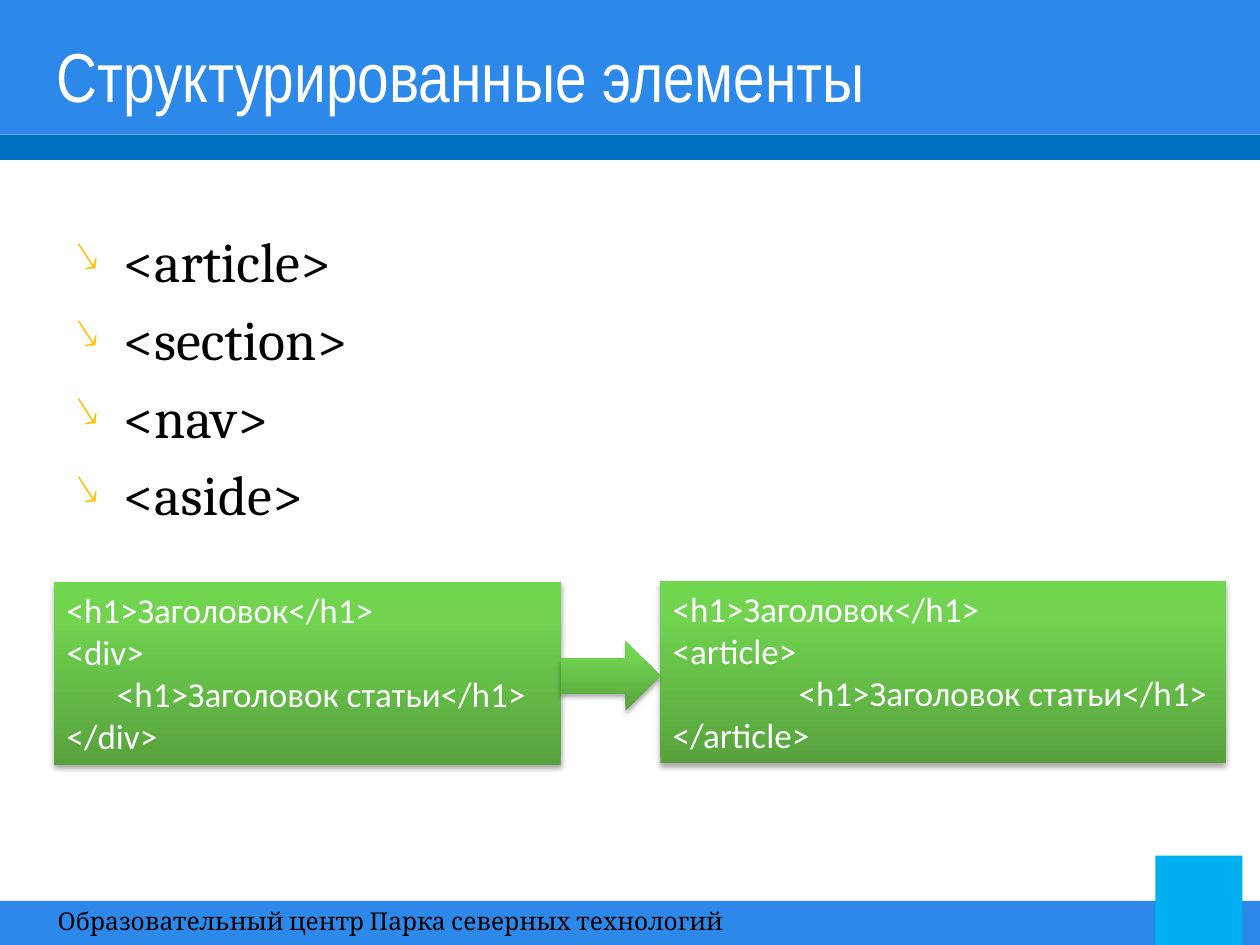
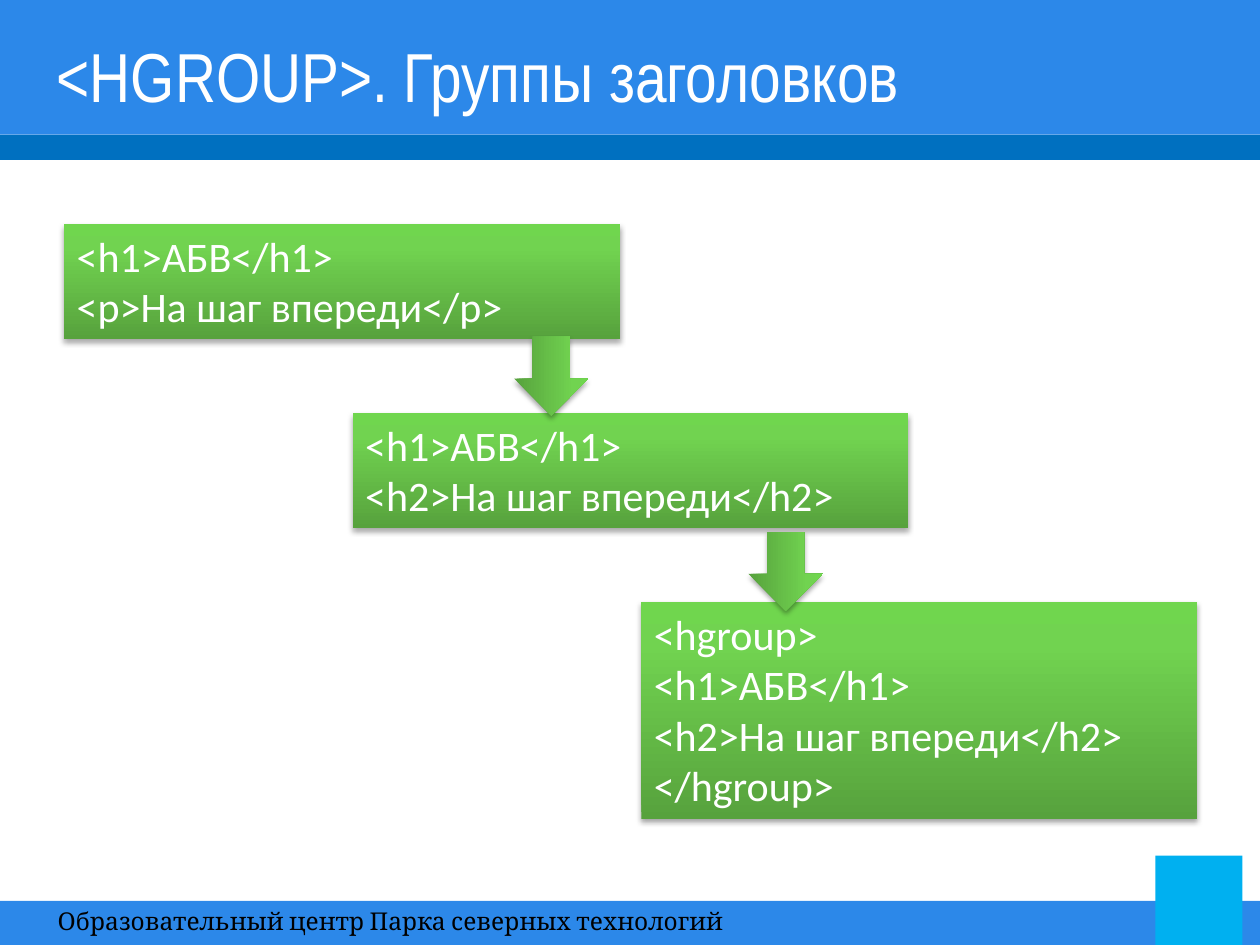
"""Build two slides about structural HTML elements and heading groups."""
from dataclasses import dataclass
from typing import Optional

from lxml.etree import SubElement
from pptx import Presentation
from pptx.dml.color import RGBColor
from pptx.enum.shapes import MSO_SHAPE as Preset
from pptx.enum.text import MSO_ANCHOR as Anchor, MSO_AUTO_SIZE as AutoSize, PP_ALIGN as Align
from pptx.oxml import parse_xml
from pptx.oxml.ns import nsdecls, qn
from pptx.util import Inches, Pt


@dataclass(frozen=True)
class Theme:
    """Colours, fonts and type sizes of the deck."""
    band: str = "2C88E9"
    stripe: str = "0070C0"
    corner: str = "00B0F0"
    bullet: str = "FFC000"
    light: str = "FFFFFF"
    dark: str = "000000"
    gradient: tuple = ((0, "57A23D"), (80, "71D350"), (100, "70D64E"))
    title_font: str = "Arial Narrow"
    body_font: str = "Cambria"
    code_font: str = "Calibri"
    title_size: float = 39.6
    body_size: float = 32
    footer_size: float = 14
    code_size: float = 20
    large_code_size: float = 24


@dataclass(frozen=True)
class Area:
    """A rectangle in inches."""
    left: float
    top: float
    width: float
    height: float

    def emu(self) -> tuple:
        """Return the four lengths for a shape call."""
        return tuple(Inches(v) for v in (self.left, self.top, self.width, self.height))


@dataclass(frozen=True)
class Band:
    """A flat coloured rectangle of the layout."""
    area: Area
    color: str


@dataclass(frozen=True)
class CodeBox:
    """A green box with lines of markup."""
    area: Area
    lines: tuple
    size: float
    tab: Optional[float] = None


@dataclass(frozen=True)
class Arrow:
    """A green block arrow with its rotation in degrees."""
    area: Area
    turn: float = 0


THEME = Theme()
FOOTER = "Образовательный центр Парка северных технологий"
FOOTER_AREA = Area(0.36, 7.14, 6.01, 0.36)
TITLE_AREA = Area(0.35, 0.29, 9, 0.61)
LIST_AREA = Area(0.5, 1.75, 9, 4.95)
BANDS = (
    Band(Area(0, 0, 10, 1.07), THEME.band),
    Band(Area(0, 1.07, 10, 0.2), THEME.stripe),
    Band(Area(0, 7.15, 10, 0.35), THEME.band),
    Band(Area(9.17, 6.79, 0.69, 0.71), THEME.corner),
)

ELEMENTS = ("<article>", "<section>", "<nav>", "<aside>")
ARTICLE_HEADING = "\t<h1>Заголовок статьи</h1>"
REWRITE_BOXES = (
    CodeBox(Area(0.43, 4.62, 4.02, 1.45),
            ("<h1>Заголовок</h1>", "<div>", ARTICLE_HEADING, "</div>"),
            THEME.code_size, tab=0.4),
    CodeBox(Area(5.24, 4.61, 4.49, 1.45),
            ("<h1>Заголовок</h1>", "<article>", ARTICLE_HEADING, "</article>"),
            THEME.code_size, tab=1),
)
REWRITE_ARROWS = (Arrow(Area(4.45, 5.09, 0.79, 0.55)),)

BRAND = "<h1>АБВ</h1>"
SLOGAN = "<h2>На шаг впереди</h2>"
GROUP_STEPS = (
    (0.91, (BRAND, "<p>На шаг впереди</p>")),
    (0.91, (BRAND, SLOGAN)),
    (1.72, ("<hgroup>", BRAND, SLOGAN, "</hgroup>")),
)
GROUP_BOXES = tuple(
    CodeBox(Area(0.51 + 2.29 * step, 1.78 + 1.5 * step, 4.41, height),
            lines, THEME.large_code_size)
    for step, (height, lines) in enumerate(GROUP_STEPS)
)
GROUP_ARROWS = tuple(
    Arrow(Area(left, top, 0.63, 0.59), turn=90)
    for left, top in ((4.06, 2.69), (5.92, 4.24))
)


def write(frame, lines, *, font: str, size: float, color: str, before: float = 0,
          bullet: str = "", tab: Optional[float] = None) -> None:
    """Fill a text frame with left-aligned paragraphs in one format."""
    frame.word_wrap = True
    for index, line in enumerate(lines):
        para = frame.paragraphs[0] if index == 0 else frame.add_paragraph()
        para.alignment = Align.LEFT
        para.space_before = Pt(before)
        span = para.add_run()
        span.text = line
        span.font.name = font
        span.font.size = Pt(size)
        span.font.color.rgb = RGBColor.from_string(color)
        props = para._p.get_or_add_pPr()
        if bullet:
            props.set("marL", str(Inches(0.38)))
            props.set("indent", str(-Inches(0.38)))
            SubElement(SubElement(props, qn("a:buClr")), qn("a:srgbClr"), val=THEME.bullet)
            SubElement(props, qn("a:buSzPct"), val="75000")
            SubElement(props, qn("a:buChar"), char=bullet)
        if tab and "\t" in line:
            stops = SubElement(props, qn("a:tabLst"))
            SubElement(stops, qn("a:tab"), pos=str(Inches(tab)), algn="l")


def add_plain_shape(page, preset: Preset, area: Area):
    """Add a shape without outline or shadow."""
    shape = page.shapes.add_shape(preset, *area.emu())
    shape.line.fill.background()
    shape.shadow.inherit = False
    return shape


def add_green_shape(page, preset: Preset, area: Area):
    """Add a shape with the green gradient and a soft shadow."""
    shape = add_plain_shape(page, preset, area)
    stops = "".join(
        f'<a:gs pos="{place * 1000}"><a:srgbClr val="{color}"/></a:gs>'
        for place, color in THEME.gradient
    )
    props = shape.element.spPr
    props.find(qn("a:prstGeom")).addnext(parse_xml(
        f'<a:gradFill {nsdecls("a")} rotWithShape="1"><a:gsLst>{stops}</a:gsLst>'
        '<a:lin ang="16200000" scaled="0"/></a:gradFill>'))
    props.find(qn("a:effectLst")).append(parse_xml(
        f'<a:outerShdw {nsdecls("a")} blurRad="{Pt(3.1)}" dist="{Pt(1.8)}" dir="5400000"'
        f' rotWithShape="0"><a:srgbClr val="{THEME.dark}"><a:alpha val="35000"/>'
        '</a:srgbClr></a:outerShdw>'))
    return shape


def add_code_box(page, code: CodeBox) -> None:
    """Draw a green box with its markup."""
    frame = add_green_shape(page, Preset.RECTANGLE, code.area).text_frame
    frame.vertical_anchor = Anchor.TOP
    frame.auto_size = AutoSize.SHAPE_TO_FIT_TEXT
    write(frame, code.lines, font=THEME.code_font, size=code.size,
          color=THEME.light, tab=code.tab)


def add_arrow(page, arrow: Arrow) -> None:
    """Draw a green block arrow."""
    shape = add_green_shape(page, Preset.RIGHT_ARROW, arrow.area)
    shape.rotation = arrow.turn


def dress_layout(layout, page) -> None:
    """Draw the bands and footer on a page and move them to its layout."""
    parts = []
    for band in BANDS:
        shape = add_plain_shape(page, Preset.RECTANGLE, band.area)
        shape.fill.solid()
        shape.fill.fore_color.rgb = RGBColor.from_string(band.color)
        parts.append(shape)
    box = page.shapes.add_textbox(*FOOTER_AREA.emu())
    write(box.text_frame, (FOOTER,), font=THEME.body_font, size=THEME.footer_size,
          color=THEME.dark, before=2.8)
    parts.append(box)
    for number, part in enumerate(parts, start=101):
        part.element.nvSpPr.cNvPr.set("id", str(number))
        layout.shapes.element.append(part.element)


def add_page(deck, layout, title: str):
    """Add a slide with a formatted title."""
    page = deck.slides.add_slide(layout)
    box = page.shapes.title
    box.left, box.top, box.width, box.height = TITLE_AREA.emu()
    frame = box.text_frame
    frame.vertical_anchor = Anchor.MIDDLE
    frame.auto_size = AutoSize.NONE
    write(frame, (title,), font=THEME.title_font, size=THEME.title_size, color=THEME.light)
    return page


def main() -> None:
    """Build and save the deck."""
    deck = Presentation()
    deck.slide_width, deck.slide_height = Inches(10), Inches(7.5)
    layout = deck.slide_layouts.get_by_name("Title Only")

    structure = add_page(deck, layout, "Структурированные элементы")
    dress_layout(layout, structure)
    element_list = structure.shapes.add_textbox(*LIST_AREA.emu())
    write(element_list.text_frame, ELEMENTS, font=THEME.body_font, size=THEME.body_size,
          color=THEME.dark, before=6, bullet="↘")

    groups = add_page(deck, layout, "<HGROUP>. Группы заголовков")
    for page, boxes, arrows in ((structure, REWRITE_BOXES, REWRITE_ARROWS),
                                (groups, GROUP_BOXES, GROUP_ARROWS)):
        for code in boxes:
            add_code_box(page, code)
        for arrow in arrows:
            add_arrow(page, arrow)
    deck.save("out.pptx")


if __name__ == "__main__":
    main()
